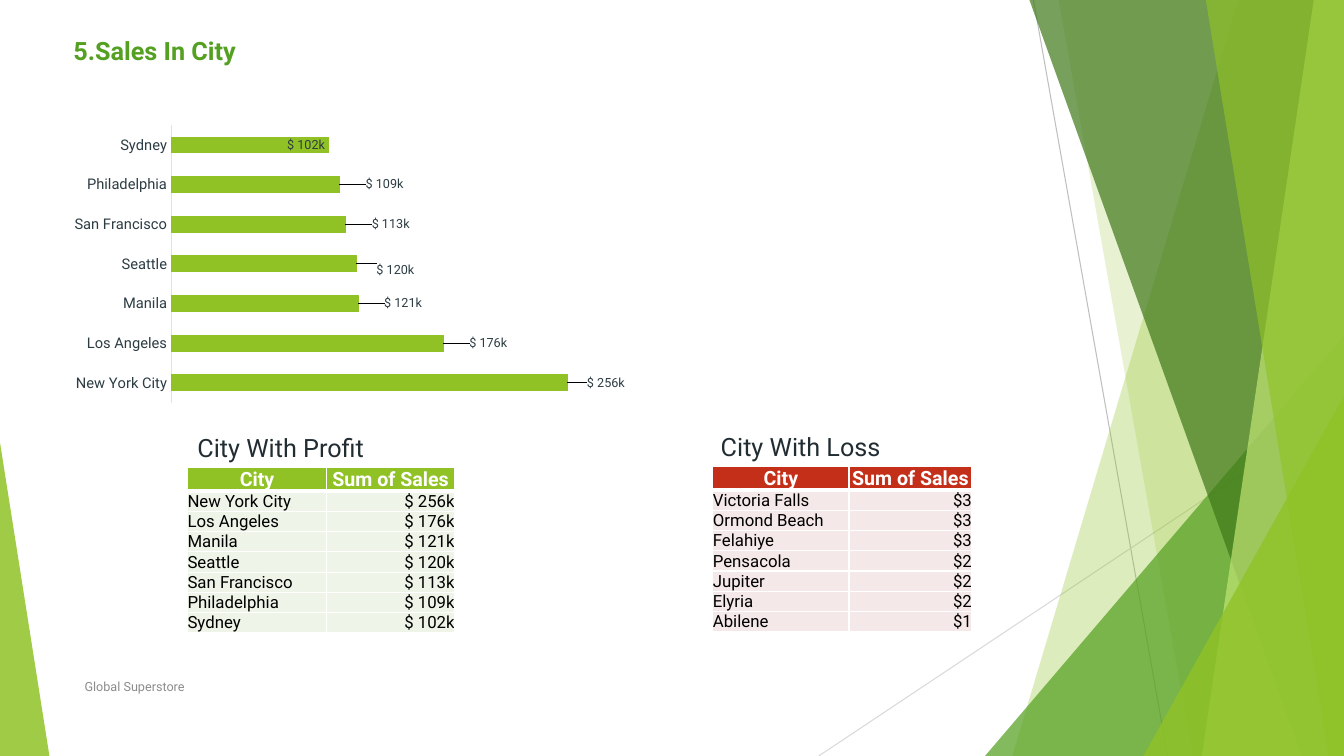
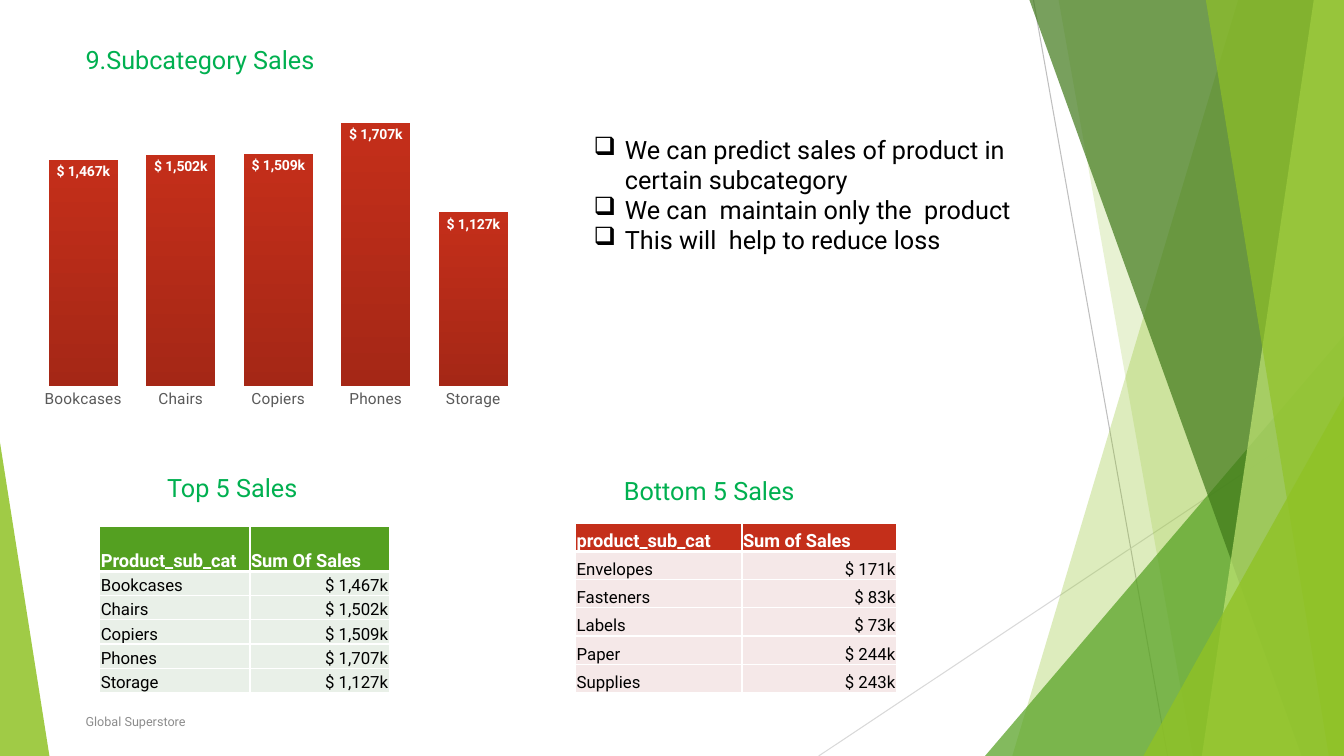
from dataclasses import dataclass

from lxml.etree import SubElement
from pptx import Presentation
from pptx.chart.data import CategoryChartData
from pptx.dml.color import RGBColor
from pptx.enum.chart import XL_CHART_TYPE as ChartType
from pptx.enum.chart import XL_LABEL_POSITION as LabelPosition
from pptx.enum.chart import XL_TICK_MARK as TickMark
from pptx.enum.shapes import MSO_CONNECTOR as Connector
from pptx.enum.shapes import MSO_SHAPE as Shape
from pptx.enum.text import MSO_ANCHOR as Anchor
from pptx.enum.text import PP_ALIGN as Align
from pptx.oxml.ns import qn
from pptx.util import Inches, Pt


@dataclass(frozen=True)
class Theme:
    width: float = 13.33
    height: float = 7.5
    font: str = "Roboto"
    white: str = "FFFFFF"
    black: str = "000000"
    lime: str = "90C226"
    green: str = "54A021"
    forest: str = "3F7819"
    pale_lime: str = "C0E474"
    heading_green: str = "00B050"
    red: str = "C42F1A"
    dark_red: str = "A52716"
    lime_tint: str = "EEF4E8"
    green_tint: str = "E9F0E8"
    red_tint: str = "F5E8E8"
    slate: str = "2C3C43"
    ink: str = "212D32"
    gray: str = "595959"
    footer_gray: str = "8C8C8C"
    axis_gray: str = "DBE4E7"
    heading_size: float = 18
    cell_size: float = 12
    footer_size: float = 9
    money_format: str = r'[>=1000]\$\ #,##0,"k";0'


THEME = Theme()

CITY_SALES = {
    "New York City": 256000, "Los Angeles": 176000, "Manila": 121000, "Seattle": 120000,
    "San Francisco": 113000, "Philadelphia": 109000, "Sydney": 102000,
}
# Shift of each value label, as fractions of the chart's width and height
CITY_LABEL_SHIFTS = [(0.1, 0), (0.11, 0), (0.11, 0), (0.1, 0.02), (0.11, 0), (0.11, 0)]
LOSS_CITIES = [
    ("Victoria Falls", "$3"), ("Ormond Beach", "$3"), ("Felahiye", "$3"), ("Pensacola", "$2"),
    ("Jupiter", "$2"), ("Elyria", "$2"), ("Abilene", "$1"),
]
TOP_SALES = {
    "Bookcases": 1467000, "Chairs": 1502000, "Copiers": 1509000,
    "Phones": 1707000, "Storage": 1127000,
}
BOTTOM_SALES = {
    "Envelopes": 171000, "Fasteners": 83000, "Labels": 73000, "Paper": 244000, "Supplies": 243000,
}
ADVICE = [
    "We can predict sales of product in certain subcategory",
    "We can  maintain only the  product",
    "This will  help to reduce loss",
]


def rgb(color):
    return RGBColor.from_string(color)


def money_rows(sales):
    return [(name, f"$ {value // 1000:,}k") for name, value in sales.items()]


def inches(*lengths):
    return [Inches(length) for length in lengths]


def style_font(font, size, color, bold=False):
    font.name, font.size, font.bold = THEME.font, Pt(size), bold
    font.color.rgb = rgb(color)


def add_span(para, text, size, color, bold=False):
    span = para.add_run()
    span.text = text
    style_font(span.font, size, color, bold)


def add_text(page, box, lines, color, size=THEME.heading_size, bold=False,
             anchor=Anchor.TOP, bullet=None):
    frame = page.shapes.add_textbox(*inches(*box)).text_frame
    frame.word_wrap = True
    frame.vertical_anchor = anchor
    for index, line in enumerate(lines):
        para = frame.paragraphs[0] if index == 0 else frame.add_paragraph()
        if bullet:
            props = para._p.get_or_add_pPr()
            props.set("marL", str(Inches(0.31)))
            props.set("indent", str(-Inches(0.31)))
            SubElement(props, qn("a:buChar")).set("char", bullet)
        add_span(para, line, size, color, bold)


def add_footer(page, left, top):
    add_text(page, (left, top, 6.89, 0.4), ["Global Superstore"], THEME.footer_gray,
             THEME.footer_size, anchor=Anchor.MIDDLE)


def paint(shape, color, opacity):
    """Flat, partly transparent fill without outline or shadow."""
    shape.shadow.inherit = False
    shape.line.fill.background()
    shape.fill.solid()
    shape.fill.fore_color.rgb = rgb(color)
    tone = shape._element.spPr.find(".//" + qn("a:srgbClr"))
    SubElement(tone, qn("a:alpha")).set("val", str(opacity * 1000))


def add_hairline(page, start, end, color):
    line = page.shapes.add_connector(Connector.STRAIGHT, *inches(*start, *end))
    line.line.color.rgb = rgb(color)
    line.line.width = Pt(0.75)
    SubElement(line._element.spPr, qn("a:effectLst"))


def add_band(page, top_x, bottom_x, color, opacity):
    """Full-height band from a slanted left edge to the right edge of the page."""
    builder = page.shapes.build_freeform(*inches(top_x, 0), scale=1.0)
    corners = [(THEME.width, 0), (THEME.width, THEME.height), (bottom_x, THEME.height)]
    builder.add_line_segments([inches(*corner) for corner in corners], close=True)
    paint(builder.convert_to_shape(), color, opacity)


def add_corner(page, left, top, width, apex, color, opacity):
    """Right triangle standing on the bottom edge; apex is 0 for left, 1 for right."""
    box = inches(left, top, width, THEME.height - top)
    corner = page.shapes.add_shape(Shape.ISOSCELES_TRIANGLE, *box)
    corner.adjustments[0] = apex
    paint(corner, color, opacity)


def add_facets(page):
    right, bottom = THEME.width, THEME.height
    add_hairline(page, (10.25, 0), (11.58, bottom), "BFBFBF")
    add_hairline(page, (right, 4.03), (8.12, bottom), "D9D9D9")
    add_band(page, 12.28, 10.04, THEME.lime, 30)
    add_band(page, 10.5, 11.83, THEME.lime, 20)
    add_corner(page, 9.77, 3.33, 3.56, 1, THEME.green, 72)
    add_band(page, 10.21, 12.91, THEME.forest, 70)
    add_band(page, 13.03, 11.92, THEME.pale_lime, 70)
    add_band(page, 11.96, 13.18, THEME.lime, 65)
    add_corner(page, 11.34, 3.93, 1.99, 1, THEME.lime, 80)
    add_corner(page, 0, 4.39, 0.49, 0, THEME.lime, 85)


def add_border(cell, side, points):
    line = SubElement(cell._tc.get_or_add_tcPr(), qn("a:" + side), w=str(Pt(points)))
    fill = SubElement(line, qn("a:solidFill"))
    SubElement(fill, qn("a:srgbClr")).set("val", THEME.white)


def fill_cell(cell, text, fill, color, size, align, pad, header):
    for side in ("lnL", "lnR", "lnT", "lnB"):
        add_border(cell, side, 3 if header and side == "lnB" else 1)
    cell.fill.solid()
    cell.fill.fore_color.rgb = rgb(fill)
    cell.margin_left = cell.margin_right = cell.margin_top = Inches(pad)
    cell.margin_bottom = 0
    cell.vertical_anchor = Anchor.BOTTOM
    para = cell.text_frame.paragraphs[0]
    para.alignment = align
    add_span(para, text, size, color, header)


def add_sales_table(page, corner, widths, heights, header, rows, fills,
                    header_size, header_align=Align.LEFT, pad=0.01):
    """Two-column table; heights and fills each give header, then body."""
    header_height, row_height = heights
    total = header_height + row_height * len(rows)
    frame = page.shapes.add_table(len(rows) + 1, 2, *inches(*corner, sum(widths), total))
    table = frame.table
    table.horz_banding = False
    for column, width in zip(table.columns, widths):
        column.width = Inches(width)
    for index, texts in enumerate([header, *rows]):
        is_header = index == 0
        table.rows[index].height = Inches(header_height if is_header else row_height)
        for column, text in enumerate(texts):
            align = header_align if is_header else (Align.LEFT, Align.RIGHT)[column]
            fill_cell(table.cell(index, column), text, fills[0 if is_header else 1],
                      THEME.white if is_header else THEME.black,
                      header_size if is_header else THEME.cell_size, align, pad, is_header)


def add_manual_layout(parent, index, settings):
    layout = parent.find(qn("c:layout"))
    if layout is not None:
        parent.remove(layout)
    layout = SubElement(parent, qn("c:layout"))
    manual = SubElement(layout, qn("c:manualLayout"))
    for name, value in settings.items():
        SubElement(manual, qn("c:" + name)).set("val", str(value))
    parent.insert(index, layout)


def add_sales_chart(page, kind, box, sales, top_value, plot_box, gap, axis_font, label_font):
    data = CategoryChartData()
    data.categories = list(sales)
    data.add_series("Series 1", list(sales.values()))
    chart = page.shapes.add_chart(kind, *inches(*box), data).chart
    chart.has_legend = chart.has_title = False
    style_font(chart.font, 10, THEME.black)
    area = chart._chartSpace.find(".//" + qn("c:plotArea"))
    add_manual_layout(area, 0, {"layoutTarget": "inner", "xMode": "edge", "yMode": "edge",
                                **dict(zip("xywh", plot_box))})

    values = chart.value_axis
    values.minimum_scale, values.maximum_scale = 0, top_value
    values.has_major_gridlines = values.visible = False
    names = chart.category_axis
    names.major_tick_mark = names.minor_tick_mark = TickMark.NONE
    style_font(names.tick_labels.font, *axis_font)

    plot = chart.plots[0]
    plot.gap_width = gap
    plot.vary_by_categories = False
    labels = plot.series[0].data_labels
    labels.show_value = True
    labels.position = LabelPosition.INSIDE_END
    labels.number_format, labels.number_format_is_linked = THEME.money_format, False
    style_font(labels.font, *label_font)
    return chart


def shift_labels(series, shifts, label_font):
    for index, (across, down) in enumerate(shifts):
        label = series.points[index].data_label
        style_font(label.font, *label_font)
        label.position = LabelPosition.INSIDE_END
        element = series._element.xpath(f"c:dLbls/c:dLbl[c:idx/@val='{index}']")[0]
        add_manual_layout(element, 1, {"x": across, "y": down})
        number = SubElement(element, qn("c:numFmt"))
        number.set("formatCode", THEME.money_format)
        number.set("sourceLinked", "0")
        element.insert(2, number)


def add_city_chart(page, box):
    label_font = (9, THEME.slate)
    chart = add_sales_chart(page, ChartType.BAR_STACKED, box, CITY_SALES, 300000,
                            (0.175, 0.102, 0.755, 0.898), 150, (10.5, THEME.slate), label_font)
    chart.plots[0].overlap = 100
    axis_line = chart.category_axis.format.line
    axis_line.color.rgb = rgb(THEME.axis_gray)
    axis_line.width = Pt(0.75)
    bars = chart.plots[0].series[0]
    bars.format.fill.solid()
    bars.format.fill.fore_color.rgb = rgb(THEME.lime)
    bars.format.line.color.rgb = rgb(THEME.lime)
    bars.format.line.width = Pt(0.75)
    shift_labels(bars, CITY_LABEL_SHIFTS, label_font)


def add_subcategory_chart(page, box):
    chart = add_sales_chart(page, ChartType.COLUMN_CLUSTERED, box, TOP_SALES, 1800000,
                            (0.138, 0.025, 0.708, 0.857), 41, (11, THEME.gray),
                            (10, THEME.white, True))
    chart.category_axis.format.line.fill.background()
    fill = chart.plots[0].series[0].format.fill
    fill.gradient()
    fill.gradient_angle = 270
    for stop, color in zip(fill.gradient_stops, (THEME.red, THEME.dark_red)):
        stop.color.rgb = rgb(color)


def build_city_page(page):
    add_facets(page)
    add_text(page, (0.63, 0.3, 3.65, 0.4), ["5.Sales In City"], THEME.green, bold=True)
    add_city_chart(page, (0.63, 0.93, 6.1, 3.07))
    tables = [
        ("City With Profit", 1.86, 1.86, 4.24, (1.38, 1.27), money_rows(CITY_SALES),
         (THEME.lime, THEME.lime_tint)),
        ("City With Loss", 7.05, 7.07, 4.23, (1.35, 1.22), LOSS_CITIES,
         (THEME.red, THEME.red_tint)),
    ]
    for heading, heading_left, left, top, widths, rows, fills in tables:
        add_sales_table(page, (left, top + 0.4), widths, (0.21, 0.2), ("City", "Sum of Sales"),
                        rows, fills, 14, Align.CENTER, pad=0)
        add_text(page, (heading_left, top, 1.95, 0.4), [heading], THEME.ink)
    add_footer(page, 0.74, 6.61)


def build_subcategory_page(page):
    add_facets(page)
    add_text(page, (0.75, 0.39, 3.92, 0.4), ["9.Subcategory Sales"], THEME.heading_green)
    add_subcategory_chart(page, (-0.6, 1, 6.83, 3.21))
    add_text(page, (5.79, 1.28, 4.63, 1.31), ADVICE, THEME.black, bullet="❑")
    add_text(page, (1.56, 4.64, 1.87, 0.4), ["Top 5 Sales"], THEME.heading_green)
    add_sales_table(page, (0.99, 5.22), (1.49, 1.38), (0.45, 0.24),
                    ("Product_sub_cat", "Sum Of Sales"), money_rows(TOP_SALES),
                    (THEME.green, THEME.green_tint), 13)
    add_text(page, (6.09, 4.67, 1.97, 0.4), ["Bottom 5 Sales"], THEME.heading_green)
    add_sales_table(page, (5.71, 5.19), (1.65, 1.53), (0.28, 0.28),
                    ("product_sub_cat", "Sum of Sales"), money_rows(BOTTOM_SALES),
                    (THEME.red, THEME.red_tint), 13)
    add_footer(page, 0.75, 6.96)


def main():
    deck = Presentation()
    deck.slide_width, deck.slide_height = inches(THEME.width, THEME.height)
    for build in (build_city_page, build_subcategory_page):
        build(deck.slides.add_slide(deck.slide_layouts[6]))
    deck.save("out.pptx")


if __name__ == "__main__":
    main()
